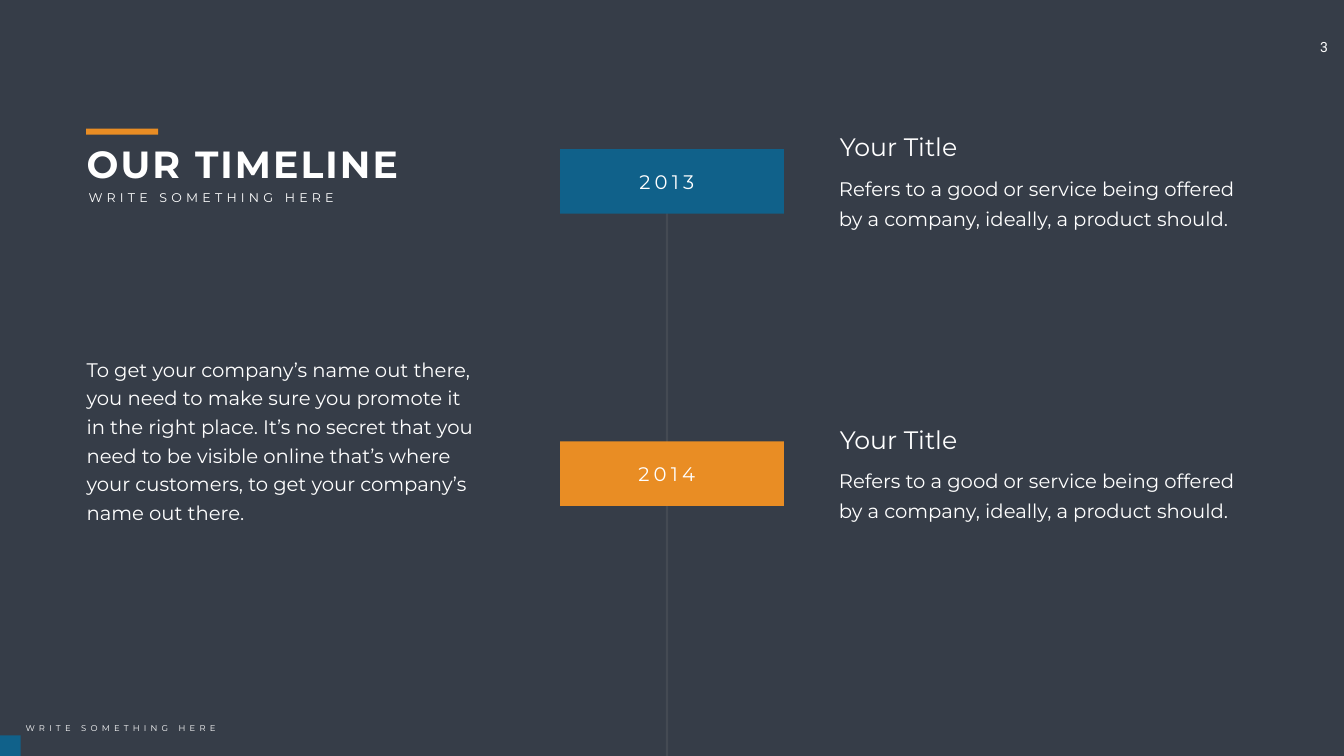
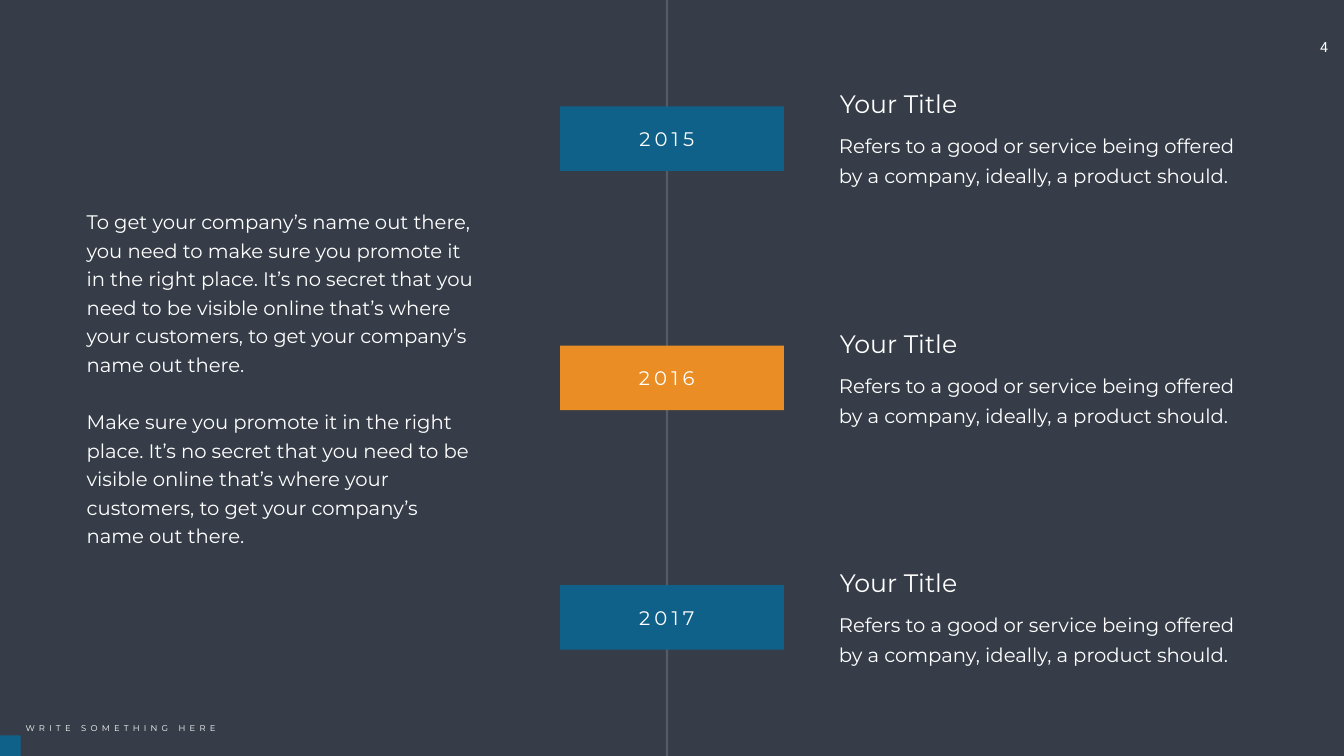
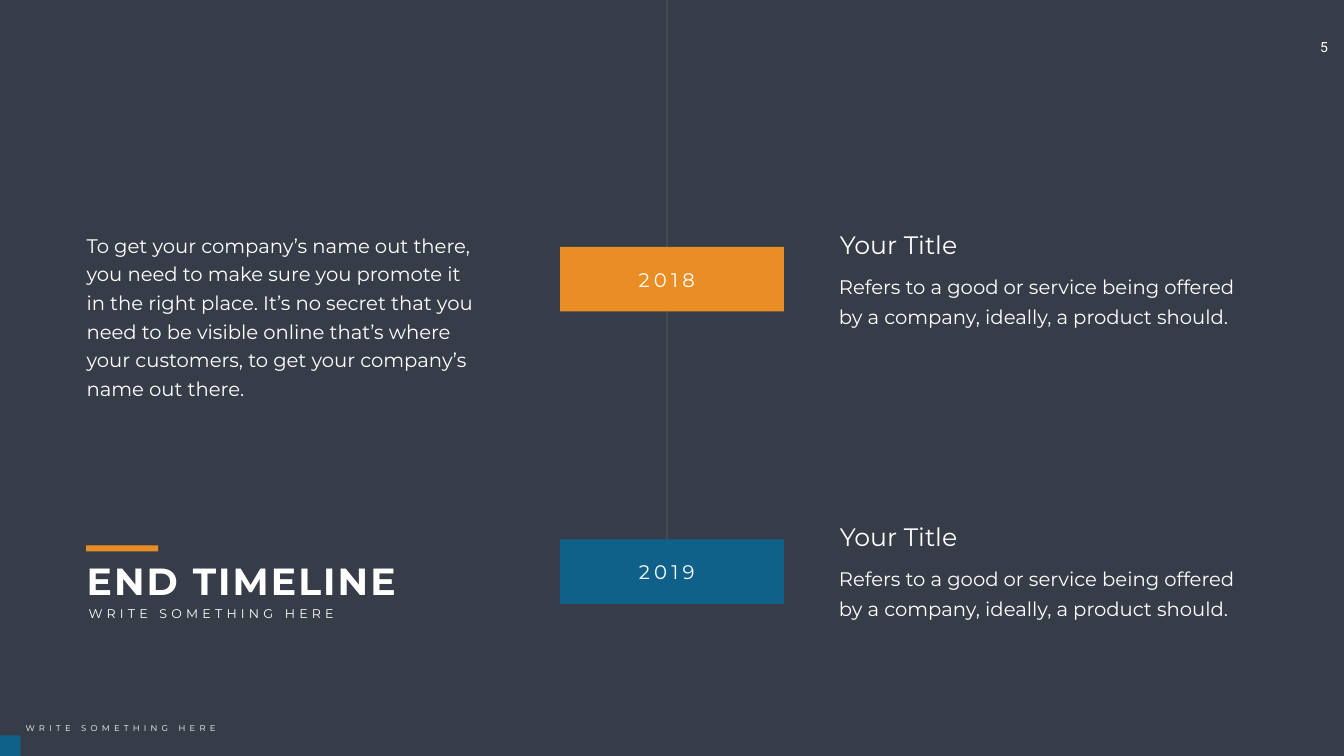
"""Build three dark timeline slides with year tags along a rail."""
from dataclasses import dataclass
from typing import Optional

from lxml import etree
from pptx import Presentation
from pptx.dml.color import RGBColor
from pptx.enum.shapes import MSO_CONNECTOR, MSO_SHAPE
from pptx.enum.text import MSO_AUTO_SIZE, PP_ALIGN
from pptx.oxml.ns import qn
from pptx.slide import Slide
from pptx.util import Emu, Pt

PX = 9144
WIDE, HIGH = 2666, 1500
DARK = RGBColor(0x36, 0x3D, 0x48)
WHITE = RGBColor(0xFF, 0xFF, 0xFF)
BLUE = RGBColor(0x10, 0x61, 0x8A)
GOLD = RGBColor(0xE9, 0x8D, 0x24)
GREY = RGBColor(0x80, 0x80, 0x80)
PALE = RGBColor(0xD9, 0xD9, 0xD9)
RECT = MSO_SHAPE.RECTANGLE
LINE = MSO_CONNECTOR.STRAIGHT
GROW = MSO_AUTO_SIZE.SHAPE_TO_FIT_TEXT
LEFT, MID = PP_ALIGN.LEFT, PP_ALIGN.CENTER

RAIL_X = 1323
SUB = "WRITE SOMETHING HERE"
HEAD = "Your Title"
BODY = ("Refers to a good or service being offered by a company, "
        "ideally, a product should.")
PLACE = "in the right place. It’s no secret that you need to be visible online that’s where your customers, "
STORY = ("To get your company’s name out there, you need to make sure you promote it "
         + PLACE + "to get your company’s name out there.")
MORE = "Make sure you promote it " + PLACE + "to get your company’s name out there."


@dataclass(frozen=True)
class Style:
    size: int
    font: str = "Montserrat"
    bold: bool = False
    track: int = 0
    lead: Optional[float] = None
    align: PP_ALIGN = LEFT
    wrap: bool = True
    pad_x: int = 10
    pad_y: int = 5


PAGE = Style(20, font="Roboto", align=MID, wrap=False, pad_x=20, pad_y=10)
TITLE = Style(54, bold=True, track=3)
SMALL = Style(18, track=6, wrap=False)
FOOT = Style(12, track=6, wrap=False)
YEAR = Style(28, track=6, align=MID)
HEADER = Style(36)
DETAIL = Style(28, lead=43, pad_x=24, pad_y=12)
PROSE = Style(28, lead=40.8)


@dataclass(frozen=True)
class Box:
    x: int
    y: int
    w: int
    h: int

    def emu(self) -> list[Emu]:
        """Return the box in EMU."""
        return [Emu(v * PX) for v in (self.x, self.y, self.w, self.h)]


@dataclass(frozen=True)
class Rail:
    top: int
    end: int
    color: RGBColor


@dataclass(frozen=True)
class Page:
    num: int
    rail: Rail
    year: int
    count: int
    top: int
    step: int
    story: Box
    texts: tuple[str, ...] = (STORY,)
    title: str = ""
    title_y: int = 0


PAGES = (
    Page(3, Rail(316, HIGH, GREY), 2013, 2, 296, 580, Box(162, 695, 794, 350),
         title="OUR TIMELINE", title_y=255),
    Page(4, Rail(0, HIGH, PALE), 2015, 3, 211, 475, Box(162, 402, 794, 695),
         texts=(STORY, MORE)),
    Page(5, Rail(0, 1130, GREY), 2018, 2, 490, 580, Box(162, 449, 794, 350),
         title="END TIMELINE", title_y=1082),
)


def add_text(slide: Slide, box: Box, style: Style, *texts: str) -> None:
    """Write one paragraph per text in a styled box."""
    frame = slide.shapes.add_textbox(*box.emu()).text_frame
    frame.word_wrap = style.wrap
    frame.auto_size = GROW
    frame.margin_left = frame.margin_right = Emu(style.pad_x * PX)
    frame.margin_top = frame.margin_bottom = Emu(style.pad_y * PX)
    for i, text in enumerate(texts):
        para = frame.add_paragraph() if i else frame.paragraphs[0]
        para.alignment = style.align
        if style.lead:
            para.line_spacing = Pt(style.lead)
            if i:
                para.space_before = Pt(style.lead)
        run = para.add_run()
        run.text = text
        run.font.name = style.font
        run.font.size = Pt(style.size)
        run.font.bold = style.bold
        run.font.color.rgb = WHITE
        if style.track:
            run._r.get_or_add_rPr().set("spc", str(style.track * 100))


def add_rect(slide: Slide, box: Box, color: RGBColor) -> None:
    """Draw a plain filled rectangle."""
    shape = slide.shapes.add_shape(RECT, *box.emu())
    shape.shadow.inherit = False
    shape.fill.solid()
    shape.fill.fore_color.rgb = color
    shape.line.fill.background()


def add_rail(slide: Slide, rail: Rail) -> None:
    """Draw the faint upright line of the timeline."""
    x = Emu(RAIL_X * PX)
    link = slide.shapes.add_connector(LINE, x, Emu(rail.top * PX), x, Emu(rail.end * PX))
    link.line.width = Pt(3)
    link.line.color.rgb = rail.color
    props = link._element.spPr
    color = props.find(".//" + qn("a:srgbClr"))
    etree.SubElement(color, qn("a:alpha")).set("val", "20000")
    etree.SubElement(props, qn("a:effectLst"))


def add_event(slide: Slide, year: int, y: int) -> None:
    """Draw a year tag with its heading and detail."""
    add_rect(slide, Box(1111, y, 444, 128), BLUE if year % 2 else GOLD)
    add_text(slide, Box(1218, y + 36, 209, 57), YEAR, str(year))
    add_text(slide, Box(1640, y + 30, 864, 139), DETAIL, BODY)
    add_text(slide, Box(1656, y - 40, 481, 71), HEADER, HEAD)


def add_title(slide: Slide, title: str, y: int) -> None:
    """Draw the accent bar, title and subtitle."""
    add_text(slide, Box(162, y + 19, 743, 101), TITLE, title)
    add_text(slide, Box(166, y + 116, 518, 40), SMALL, SUB)
    add_rect(slide, Box(171, y, 143, 12), GOLD)


def add_frame(slide: Slide, num: int) -> None:
    """Draw the page number and footer."""
    add_text(slide, Box(2581, 67, 91, 54), PAGE, str(num))
    add_rect(slide, Box(0, 1459, 41, 41), BLUE)
    add_text(slide, Box(41, 1430, 408, 30), FOOT, SUB)


def add_page(slide: Slide, page: Page) -> None:
    """Draw one whole timeline slide."""
    add_rail(slide, page.rail)
    for i in range(page.count):
        add_event(slide, page.year + i, page.top + i * page.step)
    if page.title:
        add_title(slide, page.title, page.title_y)
    add_text(slide, page.story, PROSE, *page.texts)
    add_frame(slide, page.num)


def main() -> None:
    """Build and save the deck."""
    deck = Presentation()
    deck.slide_width, deck.slide_height = Emu(WIDE * PX), Emu(HIGH * PX)
    back = deck.slide_master.background.fill
    back.solid()
    back.fore_color.rgb = DARK
    for page in PAGES:
        add_page(deck.slides.add_slide(deck.slide_layouts[6]), page)
    deck.save("out.pptx")


if __name__ == "__main__":
    main()
